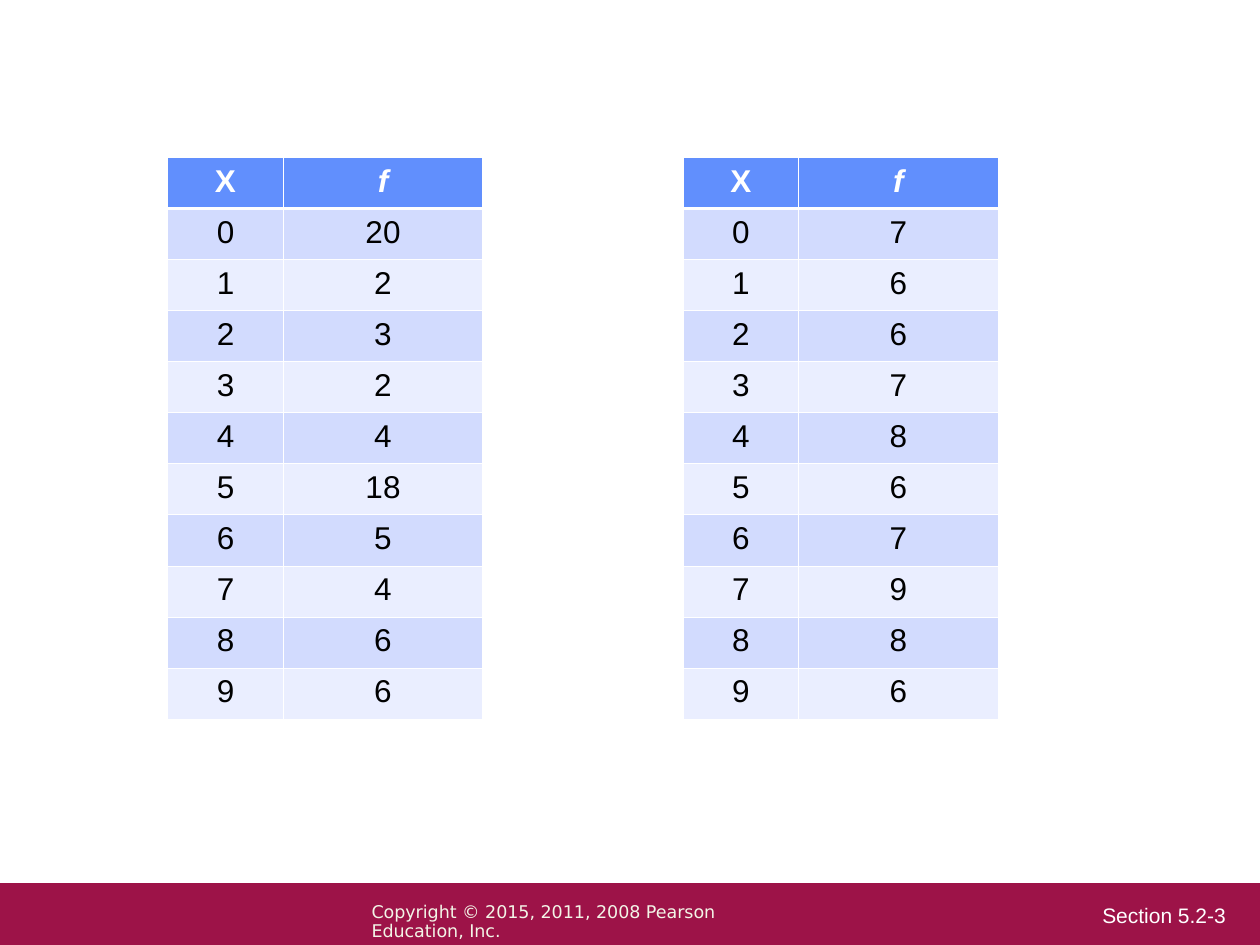
from dataclasses import dataclass

from lxml.etree import SubElement
from pptx import Presentation
from pptx.dml.color import RGBColor as RGB
from pptx.enum.shapes import MSO_SHAPE as SHAPE
from pptx.enum.text import PP_ALIGN as ALIGN
from pptx.oxml.ns import qn
from pptx.util import Inches, Pt


@dataclass(frozen=True)
class Theme:
    """Colours, fonts and type sizes of the slide."""
    white: RGB = RGB(0xFF, 0xFF, 0xFF)
    black: RGB = RGB(0, 0, 0)
    footer: RGB = RGB(0x9D, 0x13, 0x48)
    copyright: RGB = RGB(0xF3, 0xF5, 0xE7)
    header: RGB = RGB(0x61, 0x8F, 0xFD)
    bands: tuple = (RGB(0xD2, 0xDB, 0xFE), RGB(0xEA, 0xEE, 0xFF))
    font: str = "Arial"
    copyright_font: str = "DejaVu Sans"
    table_size: Pt = Pt(18)
    section_size: Pt = Pt(12)
    copyright_size: Pt = Pt(10)
    thin: Pt = Pt(0.45)
    thick: Pt = Pt(1.47)


THEME = Theme()


def style_font(p, name, size, color, bold=False, italic=False):
    """Set the font of a whole paragraph."""
    font = p.font
    font.name, font.size, font.bold, font.italic = name, size, bold, italic
    font.color.rgb = color


def add_borders(cell, top, bottom):
    """Draw the four white borders of a cell."""
    tc_pr = cell._tc.get_or_add_tcPr()
    widths = {"lnL": THEME.thin, "lnR": THEME.thin, "lnT": top, "lnB": bottom}
    for tag, width in widths.items():
        ln = SubElement(tc_pr, qn(f"a:{tag}"), w=str(int(width)))
        fill = SubElement(ln, qn("a:solidFill"))
        SubElement(fill, qn("a:srgbClr"), val=str(THEME.white))


def add_frequency_table(slide, left, top, width, height, frequencies):
    """Place a table of the digits and their frequencies."""
    rows = [("X", "f"), *enumerate(frequencies)]
    frame = slide.shapes.add_table(len(rows), 2, left, top, width, height)
    table = frame.table
    table.horz_banding = False
    table.columns[0].width = Inches(0.92)
    table.columns[1].width = width - Inches(0.92)
    for i, row in enumerate(rows):
        is_header = i == 0
        for j, value in enumerate(row):
            cell = table.cell(i, j)
            add_borders(cell, THEME.thick if i == 1 else THEME.thin,
                        THEME.thick if is_header else THEME.thin)
            cell.fill.solid()
            cell.fill.fore_color.rgb = THEME.header if is_header else THEME.bands[(i - 1) % 2]
            cell.text = str(value)
            p = cell.text_frame.paragraphs[0]
            p.alignment = ALIGN.CENTER
            style_font(p, THEME.font, THEME.table_size,
                       THEME.white if is_header else THEME.black,
                       bold=is_header, italic=is_header and j == 1)


def add_label(slide, left, top, width, height, text, name, size, color):
    """Place a line of footer text."""
    tf = slide.shapes.add_textbox(left, top, width, height).text_frame
    tf.word_wrap = True
    p = tf.paragraphs[0]
    p.text = text
    p.line_spacing = 0.9
    style_font(p, name, size, color)


def add_footer(slide, left, top, width, height):
    """Place the footer bar with its section number and copyright line."""
    bar = slide.shapes.add_shape(SHAPE.RECTANGLE, left, top, width, height)
    bar.shadow.inherit = False
    bar.fill.solid()
    bar.fill.fore_color.rgb = THEME.footer
    bar.line.fill.background()
    add_label(slide, left + Inches(8.65), top + Inches(0.13), Inches(1.33), Inches(0.26),
              "Section 5.2-3", THEME.font, THEME.section_size, THEME.white)
    add_label(slide, left + Inches(2.85), top + Inches(0.11), Inches(3.68), Inches(0.25),
              "Copyright © 2015, 2011, 2008 Pearson Education, Inc.",
              THEME.copyright_font, THEME.copyright_size, THEME.copyright)


def main():
    """Build and save the slide."""
    prs = Presentation()
    prs.slide_width, prs.slide_height = Inches(10), Inches(7.5)
    slide = prs.slides.add_slide(prs.slide_layouts[6])
    add_footer(slide, 0, Inches(7.01), prs.slide_width, Inches(0.5))
    tables = {
        1.33: (20, 2, 3, 2, 4, 18, 5, 4, 6, 6),
        5.42: (7, 6, 6, 7, 8, 6, 7, 9, 8, 6),
    }
    for left, frequencies in tables.items():
        add_frequency_table(slide, Inches(left), Inches(1.25), Inches(2.5), Inches(4.46), frequencies)
    prs.save("out.pptx")


if __name__ == "__main__":
    main()
